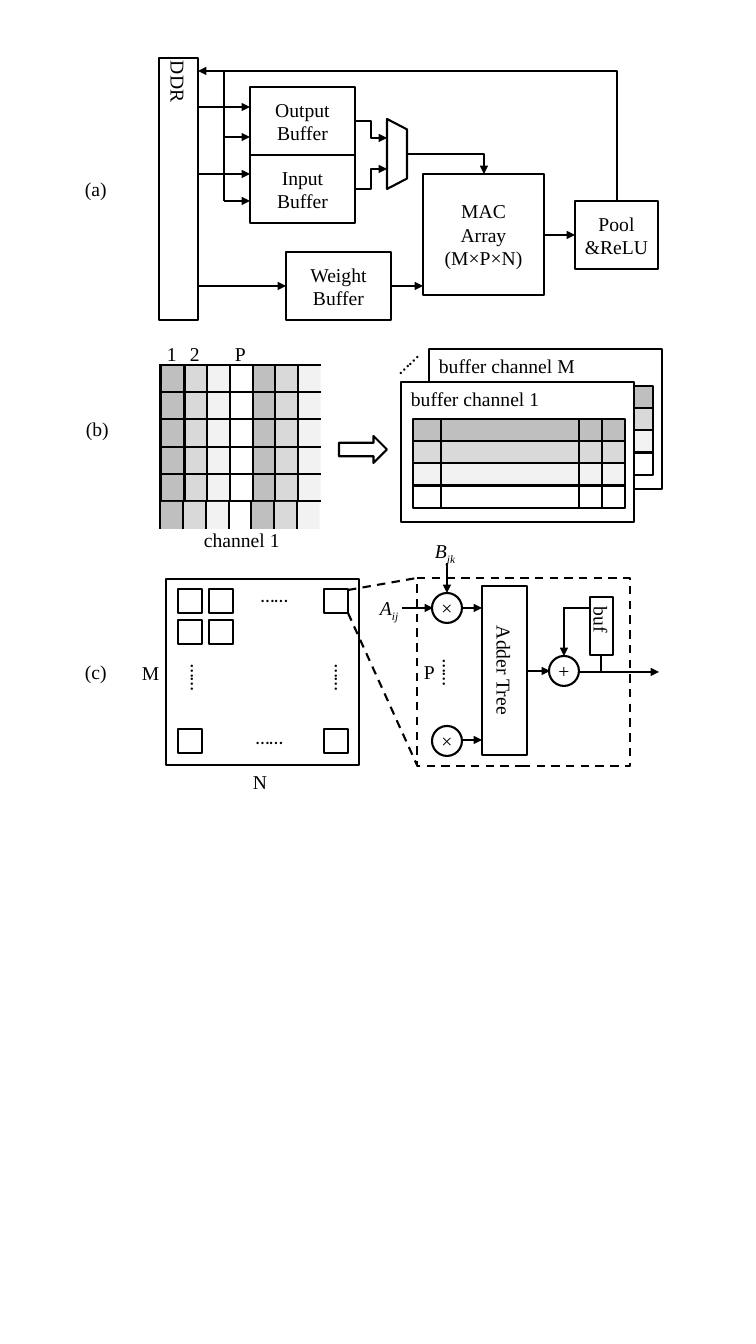
from lxml import etree
from pptx import Presentation
from pptx.dml.color import RGBColor
from pptx.enum.dml import MSO_LINE
from pptx.enum.shapes import MSO_CONNECTOR, MSO_SHAPE
from pptx.enum.text import MSO_ANCHOR, MSO_AUTO_SIZE, PP_ALIGN
from pptx.oxml.ns import qn
from pptx.util import Emu, Pt

RECTANGLE, ELLIPSE = MSO_SHAPE.RECTANGLE, MSO_SHAPE.OVAL
TRAPEZOID, RIGHT_ARROW = MSO_SHAPE.TRAPEZOID, MSO_SHAPE.RIGHT_ARROW
STRAIGHT, ELBOW = MSO_CONNECTOR.STRAIGHT, MSO_CONNECTOR.ELBOW
DASH = MSO_LINE.DASH
TOP, MIDDLE = MSO_ANCHOR.TOP, MSO_ANCHOR.MIDDLE
LEFT, CENTER = PP_ALIGN.LEFT, PP_ALIGN.CENTER
FIT_TEXT = MSO_AUTO_SIZE.SHAPE_TO_FIT_TEXT

SERIF, DOTS_FONT = "Times New Roman", "Calibri"
BLACK, WHITE = "000000", "FFFFFF"
SHADES = ["BFBFBF", "D9D9D9", "F2F2F2", WHITE]
TEXT_SIZE, LINE_WIDTH = Pt(14), Pt(1.5)
BLOCK_INSETS = (6, 3)


def px(length):
    return Emu(round(length * 914400 / 100.8))


def color(hex_string):
    return RGBColor.from_string(hex_string)


def set_outline(line, dash=None):
    line.color.rgb = color(BLACK)
    line.width = LINE_WIDTH
    if dash:
        line.dash_style = dash


def add_run(paragraph, text, font_name=SERIF, italic=None, subscript=False):
    run = paragraph.add_run()
    run.text = text
    run.font.name = font_name
    run.font.size = TEXT_SIZE
    run.font.italic = italic
    run.font.color.rgb = color(BLACK)
    if subscript:
        run._r.get_or_add_rPr().set("baseline", "-25000")


def add_box(slide, x, y, width, height, lines=(), fill=WHITE, kind=RECTANGLE, outlined=True,
            dash=None, rotation=0, insets=None, anchor=MIDDLE, align=CENTER, vertical=False):
    shape = slide.shapes.add_shape(kind, px(x), px(y), px(width), px(height))
    shape.shadow.inherit = False
    shape.rotation = rotation
    if fill:
        shape.fill.solid()
        shape.fill.fore_color.rgb = color(fill)
    else:
        shape.fill.background()
    if outlined:
        set_outline(shape.line, dash)
    else:
        shape.line.fill.background()

    frame = shape.text_frame
    frame.vertical_anchor = anchor
    if insets:
        frame.margin_left = frame.margin_right = px(insets[0])
        frame.margin_top = frame.margin_bottom = px(insets[1])
    if vertical:
        frame._txBody.bodyPr.set("vert", "eaVert")
    for index, line in enumerate(lines):
        paragraph = frame.add_paragraph() if index else frame.paragraphs[0]
        paragraph.alignment = align
        add_run(paragraph, line)
    return shape


def add_label(slide, x, y, text, width=38, font_name=SERIF, rotation=0, subscript=""):
    text_box = slide.shapes.add_textbox(px(x), px(y), px(width), px(34))
    text_box.rotation = rotation
    frame = text_box.text_frame
    frame.word_wrap = not subscript
    frame.auto_size = FIT_TEXT
    paragraph = frame.paragraphs[0]
    add_run(paragraph, text, font_name, italic=True if subscript else None)
    if subscript:
        add_run(paragraph, subscript, font_name, italic=True, subscript=True)


def add_dots(slide, x, y, rotation=0):
    add_label(slide, x, y, "……", 55, DOTS_FONT, rotation)


def add_line(slide, start, end, arrow=None, dash=None, kind=STRAIGHT, single_bend=False):
    """Draw a line; arrow is the end that bears the head: "tailEnd" or "headEnd"."""
    connector = slide.shapes.add_connector(kind, *map(px, start + end))
    set_outline(connector.line, dash)
    properties = connector._element.spPr
    if single_bend:
        properties.find(qn("a:prstGeom")).set("prst", "bentConnector2")
    if arrow:
        etree.SubElement(properties.find(qn("a:ln")), qn("a:" + arrow), type="triangle")
    etree.SubElement(properties, qn("a:effectLst"))


def add_arrow(slide, start, end, **options):
    add_line(slide, start, end, arrow="tailEnd", **options)


def add_buffer_channel(slide, x, y, name):
    add_box(slide, x, y, 233, 140, [name], anchor=TOP, align=LEFT)
    for row, shade in enumerate(SHADES):
        add_box(slide, x + 12, y + 37 + 22.2 * row, 212, 22.2, fill=shade)


def draw_architecture(slide):
    for x, y, width, height, lines in [
        (250, 155, 105, 68, ["Input", "Buffer"]),
        (286, 252, 105, 68, ["Weight", "Buffer"]),
        (250, 87, 105, 68, ["Output", "Buffer"]),
        (423, 174, 121, 121, ["MAC", "Array", "(M×P×N)"]),
        (575, 201, 83, 68, ["Pool", "&ReLU"]),
    ]:
        add_box(slide, x, y, width, height, lines, insets=BLOCK_INSETS)
    add_box(slide, 159, 58, 39, 262, ["DDR"], insets=BLOCK_INSETS, vertical=True)
    multiplexer = add_box(slide, 362, 144, 70, 20, kind=TRAPEZOID, rotation=90)
    multiplexer.adjustments[0] = 0.52

    # Horizontal data paths
    for start_x, end_x, y in [(391, 423, 286), (544, 575, 235), (198, 286, 286), (198, 250, 107),
                              (198, 250, 174), (224, 250, 137), (224, 250, 201)]:
        add_arrow(slide, (start_x, y), (end_x, y))
    # Multiplexer and feedback paths
    add_arrow(slide, (355, 121), (387, 138), kind=ELBOW)
    add_arrow(slide, (355, 189), (387, 169), kind=ELBOW)
    add_arrow(slide, (407, 154), (484, 174), kind=ELBOW, single_bend=True)
    add_line(slide, (198, 71), (617, 201), arrow="headEnd", kind=ELBOW, single_bend=True)
    add_line(slide, (224, 71), (224, 201))
    add_label(slide, 75, 172, "(a)", 45)


def draw_data_layout(slide):
    # Shaded feature-map columns; the last one is open on its right
    left, top, pitch, row_height, columns = 160.5, 365, 22.7, 27.2, 7
    bottom = top + 5 * row_height
    for column in reversed(range(columns)):
        x, shade = left + pitch * column, SHADES[column % len(SHADES)]
        add_box(slide, x, top, 24, bottom - top, fill=shade, outlined=column < columns - 1)
        if shade != WHITE:
            add_box(slide, x, bottom + 1, 23, 27, fill=shade, outlined=False)
    for column in range(1, columns):
        x = left + pitch * column
        add_line(slide, (x, bottom), (x, 529))
    add_line(slide, (160, 364), (160, 529))
    for row in range(5):
        y = top + row_height * row
        add_line(slide, (160, y), (321, y))
    add_line(slide, (297, bottom), (321, bottom))

    # Buffer channels
    add_buffer_channel(slide, 429, 349, "buffer channel M")
    add_buffer_channel(slide, 401, 382, "buffer channel 1")
    for x in (441, 579, 602):
        add_line(slide, (x, 419), (x, 508))
    add_box(slide, 339, 436, 48, 27, kind=RIGHT_ARROW)

    for x, text in [(157, "1"), (180, "2"), (225, "P")]:
        add_label(slide, x, 337, text)
    add_label(slide, 194, 523, "channel 1", 96)
    add_label(slide, 76, 412, "(b)", 45)
    add_dots(slide, 380, 341, 315)


def draw_processing_array(slide):
    # Array of processing elements
    add_box(slide, 166, 579, 193, 186, fill=None)
    for y, cell_lefts in [(589, (178, 209, 324)), (620, (178, 209)), (729, (178, 324))]:
        for x in cell_lefts:
            add_box(slide, x, y, 24, 24)
    for x, y, rotation in [(251, 578, 0), (246, 720, 0), (171, 665, 90), (315, 665, 90)]:
        add_dots(slide, x, y, rotation)

    # Enlarged processing element
    add_box(slide, 417, 578, 213, 188, fill=None, dash=DASH)
    add_line(slide, (348, 590), (417, 578), dash=DASH)
    add_line(slide, (348, 613), (417, 765), dash=DASH)
    for x, y, operator in [(432, 593, "×"), (432, 726, "×"), (549, 656, "+")]:
        add_box(slide, x, y, 30, 30, [operator], fill=None, kind=ELLIPSE, insets=(0, 0))
    add_box(slide, 420, 648, 169, 45, ["Adder Tree"], rotation=90)
    for start, end in [((462, 608), (482, 608)), ((462, 740), (482, 740)),
                       ((527, 671), (550, 671)), ((579, 672), (659, 672)),
                       ((564, 607), (564, 656)), ((402, 608), (433, 608)),
                       ((447, 563), (447, 593))]:
        add_arrow(slide, start, end)
    add_line(slide, (564, 608), (596, 608))
    add_line(slide, (601, 655), (601, 672))
    add_box(slide, 590, 597, 23, 58, ["buf"], vertical=True)

    # Labels
    for x, y, text in [(132, 656, "M"), (243, 765, "N"), (414, 655, "P")]:
        add_label(slide, x, y, text)
    add_label(slide, 370, 591, "A", 39, subscript="ij")
    add_label(slide, 425, 534, "B", 42, subscript="jk")
    add_label(slide, 75, 655, "(c)", 45)
    add_dots(slide, 423, 660, 90)


def main():
    presentation = Presentation()
    presentation.slide_width, presentation.slide_height = px(756), px(1344)
    slide = presentation.slides.add_slide(presentation.slide_layouts[6])
    draw_architecture(slide)
    draw_data_layout(slide)
    draw_processing_array(slide)
    presentation.save("out.pptx")


main()
